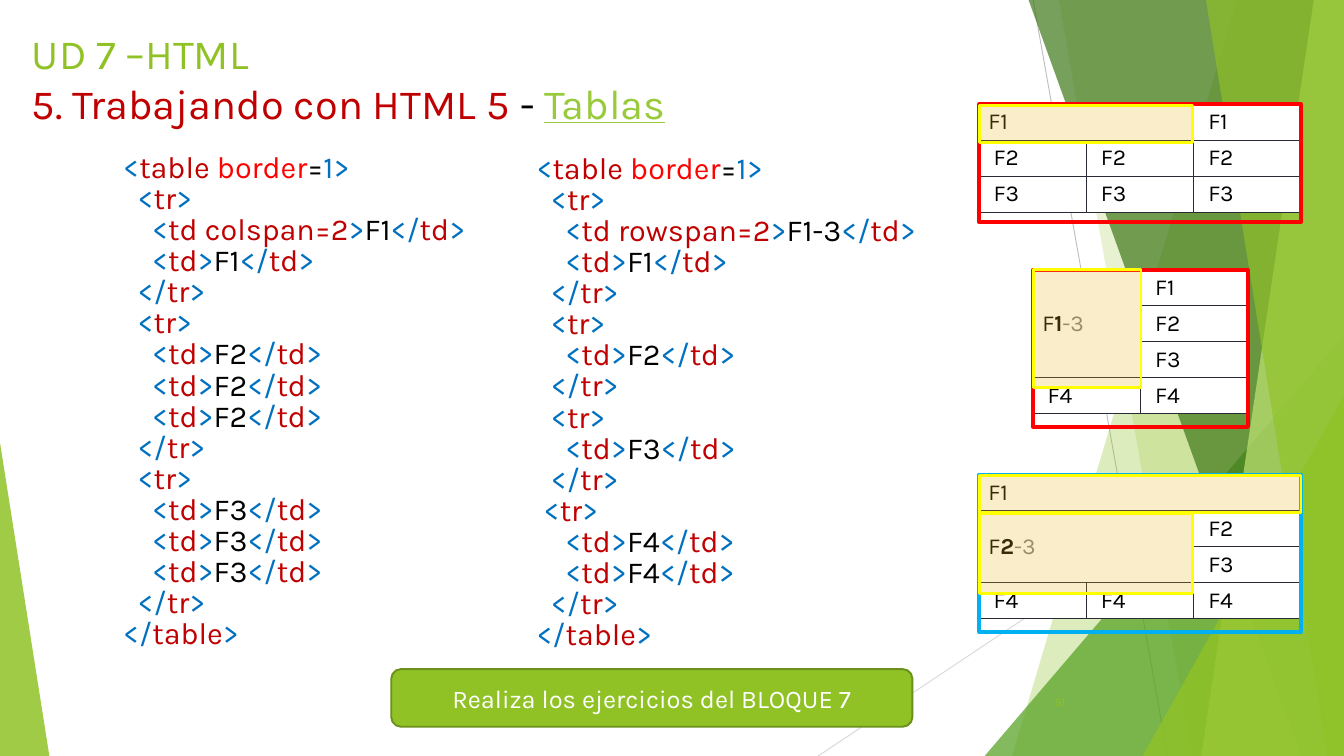
from itertools import groupby
from lxml.etree import SubElement
from pptx import Presentation
from pptx.dml.color import RGBColor
from pptx.enum.shapes import MSO_CONNECTOR, MSO_SHAPE
from pptx.enum.text import MSO_ANCHOR, MSO_AUTO_SIZE, PP_ALIGN
from pptx.oxml.ns import qn
from pptx.util import Inches, Pt

WIDTH, HEIGHT = 14.7, 8.27
FONT = "Karla"
GREEN, MID_GREEN = RGBColor(0x90, 0xC2, 0x26), RGBColor(0x54, 0xA0, 0x21)
DARK_GREEN, PALE_GREEN = RGBColor(0x3F, 0x78, 0x19), RGBColor(0xC0, 0xE4, 0x74)
LINK_GREEN, EDGE_GREEN = RGBColor(0x99, 0xCA, 0x3C), RGBColor(0x6B, 0x90, 0x1C)
DARK_RED, RED = RGBColor(0xC0, 0, 0), RGBColor(0xFF, 0, 0)
BLUE, SKY = RGBColor(0, 0x70, 0xC0), RGBColor(0, 0xB0, 0xF0)
BLACK, WHITE = RGBColor(0, 0, 0), RGBColor(0xFF, 0xFF, 0xFF)
GREY, INK = RGBColor(0x80, 0x80, 0x80), RGBColor(0x28, 0x2A, 0x35)
GREY_LINE, PALE_LINE = RGBColor(0xBF, 0xBF, 0xBF), RGBColor(0xD9, 0xD9, 0xD9)
YELLOW, GOLD = RGBColor(0xFF, 0xFF, 0), RGBColor(0xE6, 0xB9, 0x1E)

# Content
TITLE = [
    [("UD 7 –HTML", GREEN, False)],
    [("5. Trabajando con HTML 5 ", DARK_RED, False), ("- ", BLACK, False),
     ("Tablas", LINK_GREEN, True)],
]
TABLE_TAG = [("<", BLUE), ("table ", DARK_RED), ("border", RED), ("=", BLACK), ("1>", BLUE)]
COLSPAN_CODE = """\
  <tr>
    <td colspan=2>F1</td>
    <td>F1</td>
  </tr>
  <tr>
    <td>F2</td>
    <td>F2</td>
    <td>F2</td>
  </tr>
  <tr>
    <td>F3</td>
    <td>F3</td>
    <td>F3</td>
  </tr>
</table>"""
ROWSPAN_CODE = """\
  <tr>
    <td rowspan=2>F1-3</td>
    <td>F1</td>
  </tr>
  <tr>
    <td>F2</td>
  </tr>
  <tr>
    <td>F3</td>
  </tr>
 <tr>
    <td>F4</td>
    <td>F4</td>
  </tr>
</table>"""
CODE_BOXES = [(1.25, 1.63, COLSPAN_CODE), (5.77, 1.64, ROWSPAN_CODE)]

# left, top, width, height, frame colour, rows, merges (from cell, to cell)
TABLES = [
    (10.71, 1.14, 3.52, 1.29, RED,
     [["F1", None, " F1"], [" F2"] * 3, [" F3"] * 3],
     [((0, 0), (0, 1))]),
    (11.3, 2.95, 2.35, 1.72, RED,
     [[("F", "1", "-3"), " F1"], [None, " F2"], [None, " F3"], [" F4"] * 2],
     [((0, 0), (2, 0))]),
    (10.71, 5.19, 3.52, 1.72, SKY,
     [["F1", None, None], [("F", "2", "-3"), None, " F2"], [None, None, " F3"], [" F4"] * 3],
     [((0, 0), (0, 2)), ((1, 0), (2, 1))]),
]
ROW_HEIGHT = 0.39
HIGHLIGHTS = [(10.71, 1.15, 2.33, 0.41), (11.3, 2.95, 1.18, 1.29),
              (10.71, 5.62, 2.33, 0.87), (10.71, 5.2, 3.52, 0.41)]
EXERCISES = "Realiza los ejercicios del BLOQUE 7"
PAGE = "51"

# Background: bands as (top left x, top right x, bottom right x, bottom left x)
LINES = [((11.3, 0), (12.77, HEIGHT), GREY_LINE), ((14.69, 4.44), (8.95, HEIGHT), PALE_LINE)]
FACETS = [
    ("band", (13.53, WIDTH, WIDTH, 11.07), GREEN, 30),
    ("band", (11.58, WIDTH, WIDTH, 13.04), GREEN, 20),
    ("triangle", (10.77, 3.67, 3.93, 4.6), MID_GREEN, 72, 1),
    ("band", (11.25, WIDTH, WIDTH, 14.23), DARK_GREEN, 70),
    ("band", (14.37, WIDTH, WIDTH, 13.14), PALE_GREEN, 70),
    ("band", (13.19, WIDTH, WIDTH, 14.52), GREEN, 65),
    ("triangle", (12.5, 4.33, 2.2, 3.94), GREEN, 80, 1),
    ("triangle", (0, 4.84, 0.54, 3.43), GREEN, 85, 0),
]

prs = Presentation()
prs.slide_width, prs.slide_height = Inches(WIDTH), Inches(HEIGHT)
s = prs.slides.add_slide(prs.slide_layouts[5])


def add_run(p, text, color, size, **formats):
    r = p.add_run()
    r.text = text
    r.font.color.rgb = color
    for name, value in {"name": FONT, "size": Pt(size), **formats}.items():
        setattr(r.font, name, value)


def paint(sp, fill=None, opacity=100, line=None, width=0):
    sp.shadow.inherit = False
    if fill is None:
        sp.fill.background()
    else:
        sp.fill.solid()
        sp.fill.fore_color.rgb = fill
        if opacity < 100:
            color = sp.fill._xPr.find(f".//{qn('a:srgbClr')}")
            SubElement(color, qn("a:alpha"), val=str(opacity * 1000))
    if line is None:
        sp.line.fill.background()
    else:
        sp.line.color.rgb = line
        sp.line.width = Pt(width)


def add_box(kind, box, **style):
    sp = s.shapes.add_shape(kind, *map(Inches, box))
    paint(sp, **style)
    return sp


def add_cell_borders(cell):
    tcPr = cell._tc.get_or_add_tcPr()
    for side in ("a:lnL", "a:lnR", "a:lnT", "a:lnB"):
        ln = SubElement(tcPr, qn(side), w=str(Pt(0.75)))
        SubElement(SubElement(ln, qn("a:solidFill")), qn("a:srgbClr"), val=str(INK))


def color_code(line):
    """Split a line of markup into (text, colour) runs."""
    colors, in_tag = [], False
    for ch in line:
        if ch in "<>":
            in_tag = ch == "<"
        colors.append(BLUE if ch in "</>" else DARK_RED if in_tag else BLACK)
    pairs = groupby(zip(line, colors), key=lambda pair: pair[1])
    return [("".join(ch for ch, _ in group), color) for color, group in pairs]


# Background
for start, end, color in LINES:
    cn = s.shapes.add_connector(MSO_CONNECTOR.STRAIGHT, *map(Inches, start + end))
    cn.line.color.rgb = color
    cn.line.width = Pt(0.75)
    SubElement(cn._element.spPr, qn("a:effectLst"))
for kind, place, color, opacity, *apex in FACETS:
    if kind == "triangle":
        sp = add_box(MSO_SHAPE.ISOSCELES_TRIANGLE, place, fill=color, opacity=opacity)
        sp.adjustments[0] = apex[0]
    else:
        corners = [(Inches(x), Inches(y)) for x, y in zip(place, (0, 0, HEIGHT, HEIGHT))]
        fb = s.shapes.build_freeform(*corners[0])
        fb.add_line_segments(corners[1:])
        paint(fb.convert_to_shape(), fill=color, opacity=opacity)

# Title
title = s.shapes.title
title.left, title.top, title.width, title.height = map(Inches, (0.25, 0.23, 10.24, 0.98))
tf = title.text_frame
tf.auto_size, tf.vertical_anchor, tf.margin_top = MSO_AUTO_SIZE.NONE, MSO_ANCHOR.TOP, Inches(0.08)
p = tf.paragraphs[0]
p.alignment = PP_ALIGN.LEFT
for i, line in enumerate(TITLE):
    if i:
        p.add_line_break()
    for text, color, underline in line:
        add_run(p, text, color, 32.7, underline=underline)

# Tables
for left, top, width, height, _, rows, merges in TABLES:
    n = len(rows[0])
    table = s.shapes.add_table(len(rows), n, *map(
        Inches, (left, top, width, ROW_HEIGHT * len(rows)))).table
    table.first_row = table.horz_banding = False
    for i, row in enumerate(rows):
        for j, content in enumerate(row):
            cell = table.cell(i, j)
            add_cell_borders(cell)
            cell.fill.solid()
            cell.fill.fore_color.rgb = WHITE
            cell.vertical_anchor = MSO_ANCHOR.MIDDLE
            p = cell.text_frame.paragraphs[0]
            p.font.size = Pt(18)
            if isinstance(content, str):
                add_run(p, content, BLACK, 18)
            elif content:
                for text, color, bold in zip(content, (BLACK, BLACK, GREY), (False, True, False)):
                    add_run(p, text, color, 18, bold=bold)
    for first, last in merges:
        table.cell(*first).merge(table.cell(*last))

# Code
for left, top, code in CODE_BOXES:
    tf = s.shapes.add_textbox(*map(Inches, (left, top, 4.94, 5.59))).text_frame
    tf.word_wrap = True
    for i, runs in enumerate([TABLE_TAG] + [color_code(line) for line in code.split("\n")]):
        p = tf.add_paragraph() if i else tf.paragraphs[0]
        p.line_spacing = 0.85
        for text, color in runs:
            add_run(p, text, color, 24)

# Table frames and highlighted merged cells
for *box, color, _, _ in TABLES:
    add_box(MSO_SHAPE.RECTANGLE, box, line=color, width=3)
for box in HIGHLIGHTS:
    add_box(MSO_SHAPE.RECTANGLE, box, fill=GOLD, opacity=24, line=YELLOW, width=2.25)

# Exercise banner and page number
banner = add_box(MSO_SHAPE.ROUNDED_RECTANGLE, (4.28, 7.32, 5.7, 0.63),
                 fill=GREEN, line=EDGE_GREEN, width=1.5)
page = s.shapes.add_textbox(*map(Inches, (11.15, 7.53, 0.6, 0.3)))
for sp, text, color, size, align in ((banner, EXERCISES, WHITE, 20, PP_ALIGN.CENTER),
                                     (page, PAGE, GREEN, 9, PP_ALIGN.RIGHT)):
    tf = sp.text_frame
    tf.word_wrap, tf.vertical_anchor = True, MSO_ANCHOR.MIDDLE
    tf.paragraphs[0].alignment = align
    add_run(tf.paragraphs[0], text, color, size)

prs.save("out.pptx")
